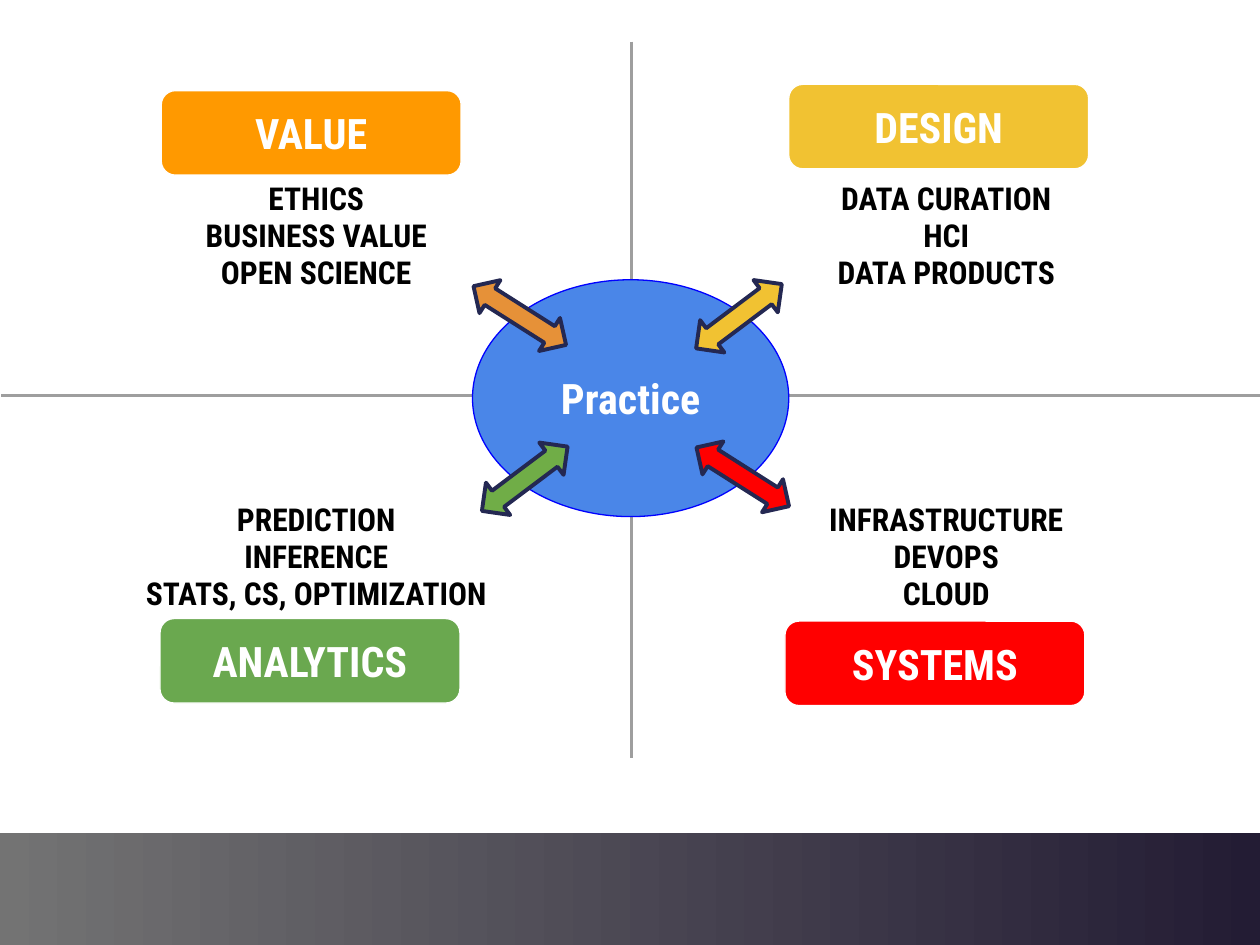
from dataclasses import dataclass

from lxml.etree import SubElement
from pptx import Presentation
from pptx.dml.color import RGBColor
from pptx.enum.shapes import MSO_SHAPE as Shape
from pptx.enum.text import MSO_ANCHOR as Anchor, PP_ALIGN as Align
from pptx.oxml.ns import qn
from pptx.util import Inches, Pt


@dataclass(frozen=True)
class Theme:
    font: str = "Roboto Condensed"
    heading: int = 24
    body: int = 18
    thin: float = 0.75
    thick: float = 2.25
    white: str = "FFFFFF"
    black: str = "000000"
    grid: str = "9E9E9E"
    hub: str = "4A86E8"
    hub_line: str = "0000FF"
    arrow_line: str = "242852"
    band_dark: str = "231C34"
    band_light: str = "737373"
    value: str = "FF9900"
    value_arrow: str = "E69138"
    design: str = "F1C232"
    analytics: str = "6AA84F"
    analytics_arrow: str = "70AD47"
    systems: str = "FF0000"


THEME = Theme()

TOPICS = [
    [["ETHICS", "BUSINESS VALUE", "OPEN SCIENCE"],
     ["DATA CURATION", "HCI", "DATA PRODUCTS"]],
    [["PREDICTION", "INFERENCE", "STATS, CS, OPTIMIZATION"],
     ["INFRASTRUCTURE", "DEVOPS", "CLOUD"]],
]
# label, fill, left, top
HEADINGS = [
    ("VALUE", THEME.value, 1.28, 0.72),
    ("DESIGN", THEME.design, 6.26, 0.67),
    ("ANALYTICS", THEME.analytics, 1.27, 4.91),
    ("SYSTEMS", THEME.systems, 6.23, 4.93),
]
# fill, left, top, width, height, rotation
ARROWS = [
    (THEME.value_arrow, 3.69, 2.35, 0.87, 0.31, 32.4),
    (THEME.systems, 5.46, 3.63, 0.87, 0.31, 32.4),
    (THEME.design, 5.44, 2.35, 0.85, 0.32, 323.1),
    (THEME.analytics_arrow, 3.74, 3.64, 0.85, 0.32, 323.1),
]


def rgb(color):
    return RGBColor.from_string(color)


def write(tf, lines, size, color):
    """Fill a text frame with centred bold lines."""
    tf.text = "\n".join(lines)
    for p in tf.paragraphs:
        p.alignment = Align.CENTER
        for r in p.runs:
            r.font.name = THEME.font
            r.font.size = Pt(size)
            r.font.bold = True
            r.font.color.rgb = rgb(color)


def add_shape(s, kind, box, fill, line, width):
    sp = s.shapes.add_shape(kind, *map(Inches, box))
    sp.shadow.inherit = False
    sp.fill.solid()
    sp.fill.fore_color.rgb = rgb(fill)
    sp.line.color.rgb = rgb(line)
    sp.line.width = Pt(width)
    return sp


def add_label(s, kind, box, text, fill, line):
    sp = add_shape(s, kind, box, fill, line, THEME.thin)
    tf = sp.text_frame
    tf.word_wrap = True
    tf.vertical_anchor = Anchor.MIDDLE
    tf.margin_left = tf.margin_right = Inches(0.1)
    tf.margin_top = tf.margin_bottom = Inches(0.1)
    write(tf, [text], THEME.heading, THEME.white)


def set_borders(cell, visible):
    """Draw the named sides of a cell (L, R, T, B) and clear the others."""
    tc_pr = cell._tc.get_or_add_tcPr()
    for i, side in enumerate("LRTB"):
        ln = SubElement(tc_pr, qn(f"a:ln{side}"))
        if side in visible:
            ln.set("w", str(Pt(THEME.thick)))
            fill = SubElement(ln, qn("a:solidFill"))
            SubElement(fill, qn("a:srgbClr")).set("val", THEME.grid)
        else:
            SubElement(ln, qn("a:noFill"))
        tc_pr.insert(i, ln)


def add_quadrants(s, box):
    table = s.shapes.add_table(2, 2, *map(Inches, box)).table
    table.first_row = table.horz_banding = False
    for row, height in zip(table.rows, (2.81, 2.88)):
        row.height = Inches(height)
    for i, text_top in enumerate((1.11, 0.85)):
        for j in range(2):
            cell = table.cell(i, j)
            cell.fill.background()
            cell.vertical_anchor = Anchor.TOP
            cell.margin_left = cell.margin_right = Inches(0.1)
            cell.margin_top = Inches(text_top)
            cell.margin_bottom = Inches(0.07)
            write(cell.text_frame, TOPICS[i][j], THEME.body, THEME.black)
            set_borders(cell, "RL"[j] + "BT"[i])


def add_hub(s, box):
    add_label(s, Shape.OVAL, box, "Practice", THEME.hub, THEME.hub_line)
    for fill, left, top, width, height, rotation in ARROWS:
        sp = add_shape(s, Shape.LEFT_RIGHT_ARROW, (left, top, width, height),
                       fill, THEME.arrow_line, THEME.thick)
        sp.rotation = rotation


def add_headings(s, width, height):
    for text, fill, left, top in HEADINGS:
        add_label(s, Shape.ROUNDED_RECTANGLE, (left, top, width, height),
                  text, fill, THEME.white)


def add_footer_band(s, box):
    sp = s.shapes.add_shape(Shape.RECTANGLE, *map(Inches, box))
    sp.shadow.inherit = False
    sp.line.fill.background()
    sp.fill.gradient()
    sp.fill.gradient_angle = 180
    colors = (THEME.band_dark, THEME.band_light)
    for stop, position, color in zip(sp.fill.gradient_stops, (0, 1), colors):
        stop.position = position
        stop.color.rgb = rgb(color)


def main():
    prs = Presentation()
    prs.slide_width, prs.slide_height = Inches(10), Inches(7.5)
    s = prs.slides.add_slide(prs.slide_layouts[6])
    add_quadrants(s, (0.01, 0.33, 10, 5.69))
    add_hub(s, (3.75, 2.22, 2.51, 1.88))
    add_headings(s, 2.38, 0.67)
    add_footer_band(s, (0, 6.61, 10, 0.89))
    prs.save("out.pptx")


if __name__ == "__main__":
    main()
